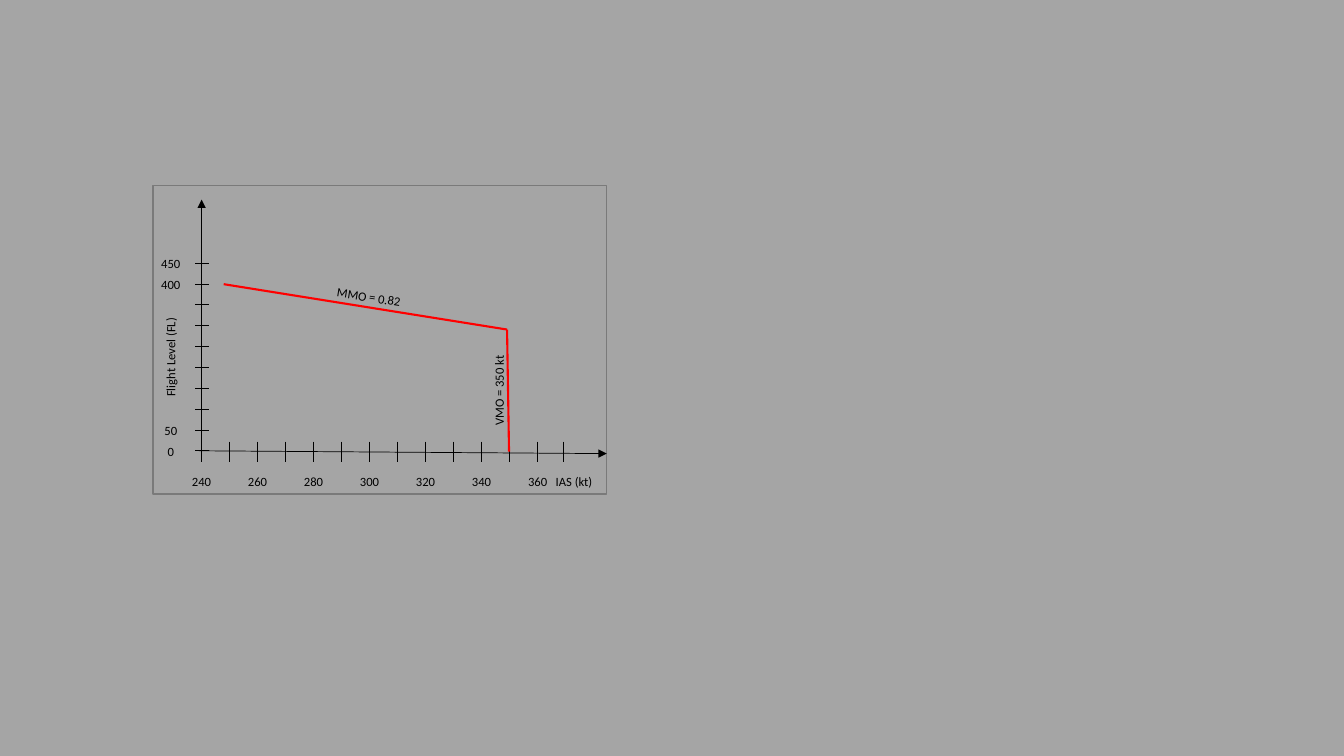
import pptx
import pptx.util
import pptx.dml.color
import pptx.enum.shapes
import pptx.enum.text
import pptx.oxml.ns
import lxml.etree

Pt = pptx.util.Pt

GREY, FRAME_GREY, BLACK, RED = "A5A5A5", "7A7A7A", "000000", "FF0000"
SPEED_LABELS = range(240, 361, 20)
SPEED_TICKS = range(250, 361, 10)
LAST_SPEED_TICK = 402.5
LEVEL_LABELS = (0, 50, 400, 450)
LEVEL_TICKS = range(0, 451, 50)
ORIGIN_X, ORIGIN_Y = 144, 322
POINTS_PER_KNOT, POINTS_PER_LEVEL = 2, 0.298
FRAME = (109.4, 132.5, 324, 220.3)
AXES = [
    ((142, 322), (433.4, 324)),
    ((144, 330), (144, 142.6)),
]
LIMIT_CURVE = [(159.8, 203), (362.2, 235.4), (363.6, 322.6)]
CAPTIONS = [
    ("Flight Level (FL)", 121.7, 255.2, 96.5, 270),
    ("IAS (kt)", 410, 343.8, 46.8, 0),
    ("MMO = 0.82", 263.5, 212, 96.5, 8.9),
    ("VMO = 350 kt", 356.4, 279, 96.5, 270),
]


def color(hex_value):
    return pptx.dml.color.RGBColor.from_string(hex_value)


def speed_x(knots):
    return ORIGIN_X + (knots - SPEED_LABELS[0]) * POINTS_PER_KNOT


def level_y(level):
    return ORIGIN_Y - level * POINTS_PER_LEVEL


def add_element(parent, tag, **attributes):
    lxml.etree.SubElement(parent, pptx.oxml.ns.qn(tag), attributes)


def add_line(page, start, end, hex_value=BLACK, width=0.5, arrow=False):
    line = page.shapes.add_connector(
        pptx.enum.shapes.MSO_CONNECTOR.STRAIGHT,
        *(Pt(value) for value in (*start, *end)))
    line.line.color.rgb = color(hex_value)
    line.line.width = Pt(width)
    properties = line._element.spPr
    if arrow:
        outline = properties.find(pptx.oxml.ns.qn("a:ln"))
        add_element(outline, "a:tailEnd", type="triangle")
    add_element(properties, "a:effectLst")


def add_label(page, text, center_x, center_y, width, rotation=0):
    height = 18
    box = page.shapes.add_textbox(
        Pt(center_x - width / 2), Pt(center_y - height / 2), Pt(width), Pt(height))
    box.rotation = rotation
    frame = box.text_frame
    frame.word_wrap = True
    frame.auto_size = pptx.enum.text.MSO_AUTO_SIZE.SHAPE_TO_FIT_TEXT
    frame.text = text
    para = frame.paragraphs[0]
    para.alignment = pptx.enum.text.PP_ALIGN.CENTER
    font = para.runs[0].font
    font.name = "Calibri"
    font.size = Pt(9)
    font.color.rgb = color(BLACK)


def main():
    deck = pptx.Presentation()
    deck.slide_width, deck.slide_height = Pt(960), Pt(540)
    page = deck.slides.add_slide(deck.slide_layouts[6])
    page.background.fill.solid()
    page.background.fill.fore_color.rgb = color(GREY)

    panel = page.shapes.add_shape(
        pptx.enum.shapes.MSO_SHAPE.RECTANGLE, *(Pt(value) for value in FRAME))
    panel.shadow.inherit = False
    panel.fill.solid()
    panel.fill.fore_color.rgb = color(GREY)
    panel.line.color.rgb = color(FRAME_GREY)
    panel.line.width = Pt(1)

    for start, end in AXES:
        add_line(page, start, end, arrow=True)
    for x in [speed_x(knots) for knots in SPEED_TICKS] + [LAST_SPEED_TICK]:
        add_line(page, (x, 315.4), (x, 329.8))
    for level in LEVEL_TICKS:
        y = level_y(level)
        add_line(page, (ORIGIN_X + 5, y), (ORIGIN_X - 5, y))
    for start, end in zip(LIMIT_CURVE, LIMIT_CURVE[1:]):
        add_line(page, start, end, RED, 1.5)

    for knots in SPEED_LABELS:
        add_label(page, str(knots), speed_x(knots), 343.8, 31.7)
    for level in LEVEL_LABELS:
        add_label(page, str(level), 122, level_y(level) + 0.3, 39.6)
    for caption in CAPTIONS:
        add_label(page, *caption)

    deck.save("out.pptx")


if __name__ == "__main__":
    main()
